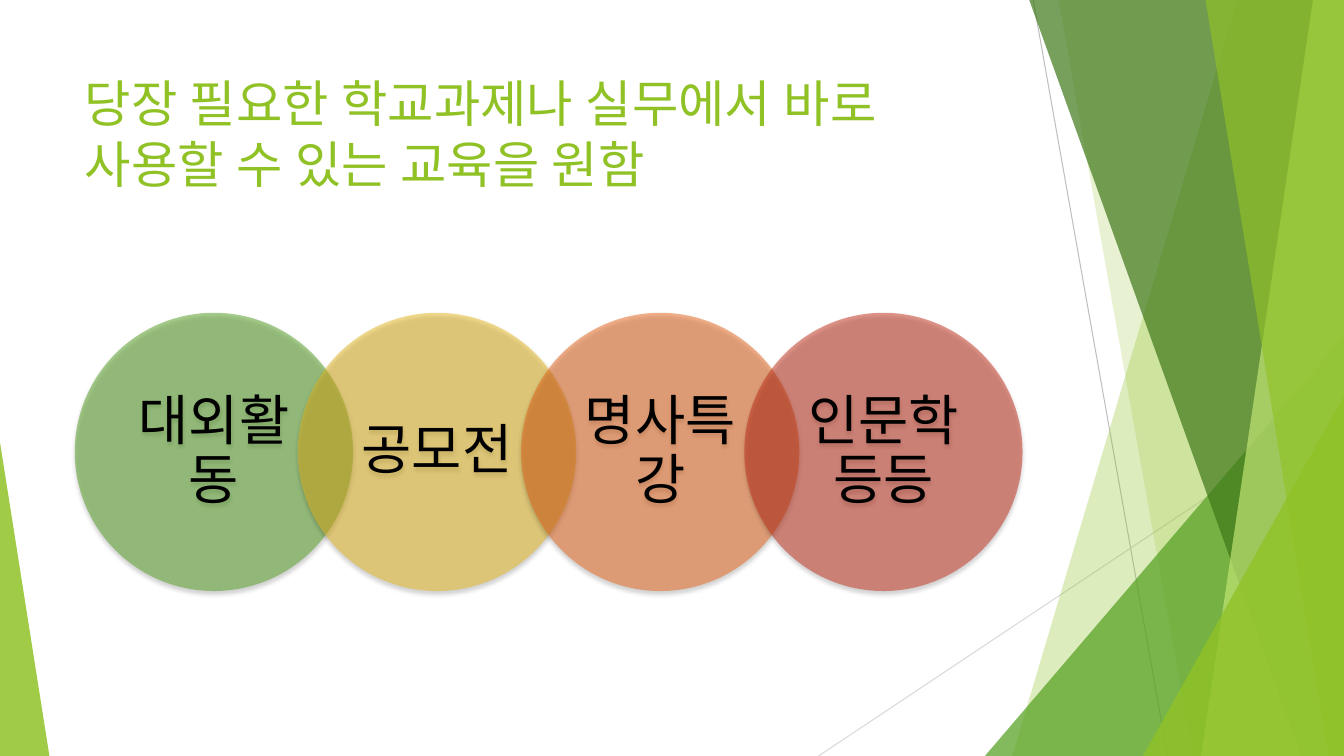
from dataclasses import dataclass

from lxml import etree
from pptx import Presentation
from pptx.dml.color import RGBColor
from pptx.enum.shapes import MSO_CONNECTOR, MSO_SHAPE
from pptx.enum.text import MSO_ANCHOR, PP_ALIGN
from pptx.oxml import parse_xml
from pptx.oxml.ns import nsdecls, qn
from pptx.shapes.autoshape import Shape
from pptx.slide import Slide
from pptx.text.text import _Paragraph
from pptx.util import Pt

STRAIGHT = MSO_CONNECTOR.STRAIGHT
TRIANGLE, OVAL = MSO_SHAPE.ISOSCELES_TRIANGLE, MSO_SHAPE.OVAL
TOP, MIDDLE = MSO_ANCHOR.TOP, MSO_ANCHOR.MIDDLE
CENTER = PP_ALIGN.CENTER

LIME = RGBColor(0x90, 0xC2, 0x26)
PALE_LIME = RGBColor(0xC0, 0xE4, 0x74)
GREEN = RGBColor(0x54, 0xA0, 0x21)
DARK_GREEN = RGBColor(0x3F, 0x78, 0x19)
GOLD = RGBColor(0xE6, 0xB9, 0x1E)
ORANGE = RGBColor(0xE7, 0x66, 0x18)
RED = RGBColor(0xC4, 0x2F, 0x1A)
BLACK = RGBColor(0, 0, 0)
GRAY = RGBColor(0xBF, 0xBF, 0xBF)
LIGHT_GRAY = RGBColor(0xD9, 0xD9, 0xD9)

FONT = "Roboto"
SLIDE_W, SLIDE_H = 960, 540
BAND_TOP = -0.6
CIRCLE_LEFT, CIRCLE_TOP = 53.4, 223.4
CIRCLE_SIZE, CIRCLE_STEP = 198.8, 159.4


@dataclass
class Line:
    x1: float
    y1: float
    x2: float
    y2: float
    color: RGBColor


@dataclass
class Band:
    """Four-sided stripe that runs to the right edge of the slide."""
    top_x: float
    bottom_x: float
    color: RGBColor
    opacity: int


@dataclass
class Triangle:
    """Triangle standing on the bottom edge of the slide."""
    left: float
    top: float
    width: float
    apex: float
    color: RGBColor
    opacity: int


@dataclass
class Circle:
    text: str
    color: RGBColor


LINES = [Line(738, 0, 834, SLIDE_H, GRAY),
         Line(SLIDE_W, 290, 584.7, SLIDE_H, LIGHT_GRAY)]
FACETS = [
    Band(884, 723, LIME, 30),
    Band(756, 852, LIME, 20),
    Triangle(703.5, 240, 256.5, 1, GREEN, 72),
    Band(735, 929.5, DARK_GREEN, 70),
    Band(938, 858, PALE_LIME, 70),
    Band(861, 949, LIME, 65),
    Triangle(816.5, 283, 143.5, 1, LIME, 80),
    Triangle(0, 316, 35.3, 0, LIME, 85),
]
CIRCLES = [Circle("대외활동", GREEN), Circle("공모전", GOLD),
           Circle("명사특강", ORANGE), Circle("인문학 등등", RED)]


def paint(sp: Shape, color: RGBColor, opacity: int) -> None:
    sp.shadow.inherit = False
    sp.line.fill.background()
    sp.fill.solid()
    sp.fill.fore_color.rgb = color
    clr = sp.fill._xPr.find(f".//{qn('a:srgbClr')}")
    etree.SubElement(clr, qn("a:alpha"), val=str(opacity * 1000))


def add_run(p: _Paragraph, text: str, size: float, color: RGBColor) -> None:
    r = p.add_run()
    r.text = text
    r.font.name, r.font.size = FONT, Pt(size)
    r.font.color.rgb = color
    # Korean glyphs take the East Asian font
    latin = r.font._element.find(qn("a:latin"))
    latin.addnext(parse_xml(f'<a:ea {nsdecls("a")} typeface="{FONT}"/>'))


def draw_line(s: Slide, line: Line) -> None:
    cxn = s.shapes.add_connector(STRAIGHT, Pt(line.x1), Pt(line.y1),
                                 Pt(line.x2), Pt(line.y2))
    cxn.line.color.rgb = line.color
    cxn.line.width = Pt(0.75)
    etree.SubElement(cxn._element.spPr, qn("a:effectLst"))


def draw_band(s: Slide, band: Band) -> None:
    fb = s.shapes.build_freeform(Pt(band.top_x), Pt(BAND_TOP))
    fb.add_line_segments([(Pt(SLIDE_W), Pt(BAND_TOP)),
                          (Pt(SLIDE_W), Pt(SLIDE_H)),
                          (Pt(band.bottom_x), Pt(SLIDE_H))], close=True)
    paint(fb.convert_to_shape(), band.color, band.opacity)


def draw_triangle(s: Slide, tri: Triangle) -> None:
    sp = s.shapes.add_shape(TRIANGLE, Pt(tri.left), Pt(tri.top),
                            Pt(tri.width), Pt(SLIDE_H - tri.top))
    sp.adjustments[0] = tri.apex
    paint(sp, tri.color, tri.opacity)


def draw_title(s: Slide, text: str) -> None:
    tf = s.shapes.add_textbox(Pt(53.4), Pt(48), Pt(677), Pt(104)).text_frame
    tf.word_wrap = True
    tf.vertical_anchor = TOP
    add_run(tf.paragraphs[0], text, 36, LIME)


def draw_circle(s: Slide, index: int, circle: Circle) -> None:
    sp = s.shapes.add_shape(OVAL, Pt(CIRCLE_LEFT + index * CIRCLE_STEP),
                            Pt(CIRCLE_TOP), Pt(CIRCLE_SIZE), Pt(CIRCLE_SIZE))
    paint(sp, circle.color, 50)
    # Soft shadow straight below
    effects = sp._element.spPr.find(qn("a:effectLst"))
    effects.append(parse_xml(
        f'<a:outerShdw {nsdecls("a")} blurRad="{Pt(3)}" dist="{Pt(2)}" '
        'dir="5400000" rotWithShape="0"><a:srgbClr val="000000">'
        '<a:alpha val="35000"/></a:srgbClr></a:outerShdw>'))
    tf = sp.text_frame
    tf.word_wrap = True
    tf.vertical_anchor = MIDDLE
    tf.margin_left = tf.margin_right = Pt(10.8)
    tf.margin_top = tf.margin_bottom = Pt(3.6)
    p = tf.paragraphs[0]
    p.alignment = CENTER
    p.line_spacing = 0.9
    add_run(p, circle.text, 39, BLACK)


def main() -> None:
    prs = Presentation()
    prs.slide_width, prs.slide_height = Pt(SLIDE_W), Pt(SLIDE_H)
    s = prs.slides.add_slide(prs.slide_layouts[6])

    # Faceted background
    for line in LINES:
        draw_line(s, line)
    for facet in FACETS:
        if isinstance(facet, Band):
            draw_band(s, facet)
        else:
            draw_triangle(s, facet)

    # Title and overlapping circles
    draw_title(s, "당장 필요한 학교과제나 실무에서 바로 사용할 수 있는 교육을 원함")
    for index, circle in enumerate(CIRCLES):
        draw_circle(s, index, circle)

    prs.save("out.pptx")


if __name__ == "__main__":
    main()
